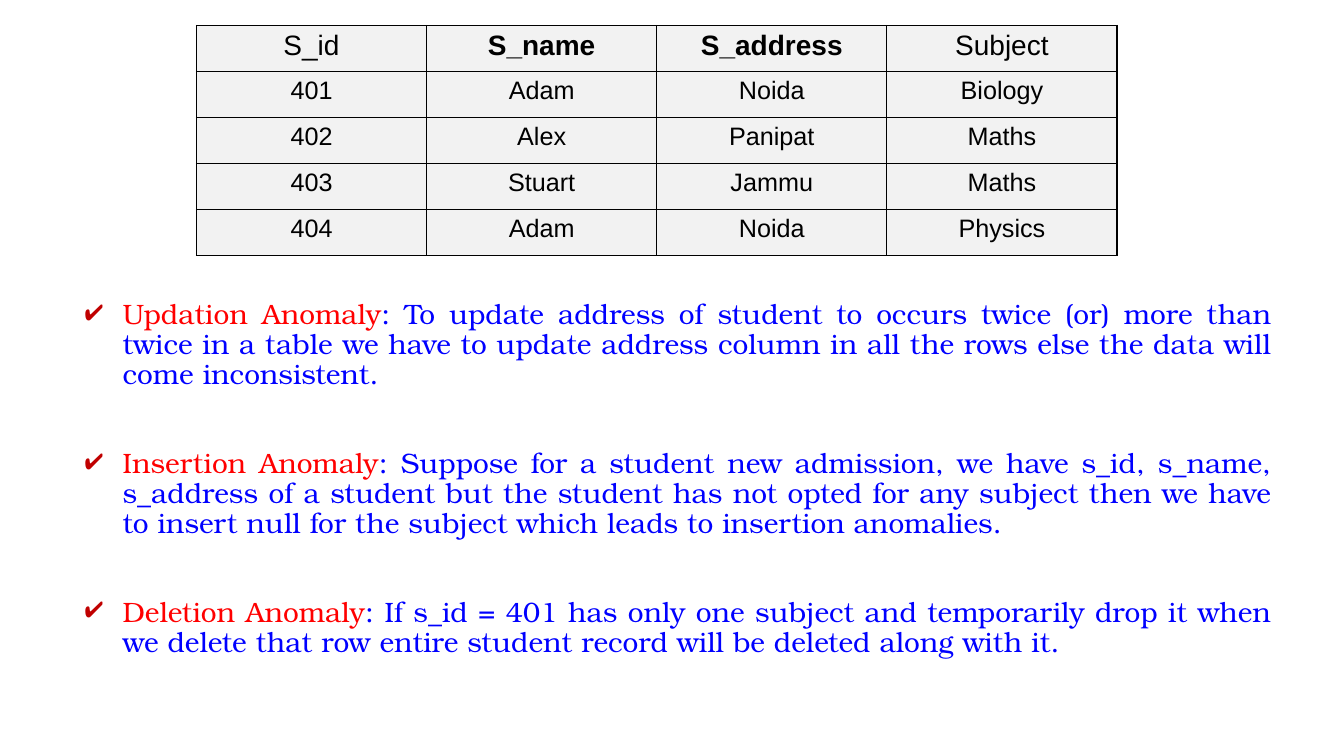
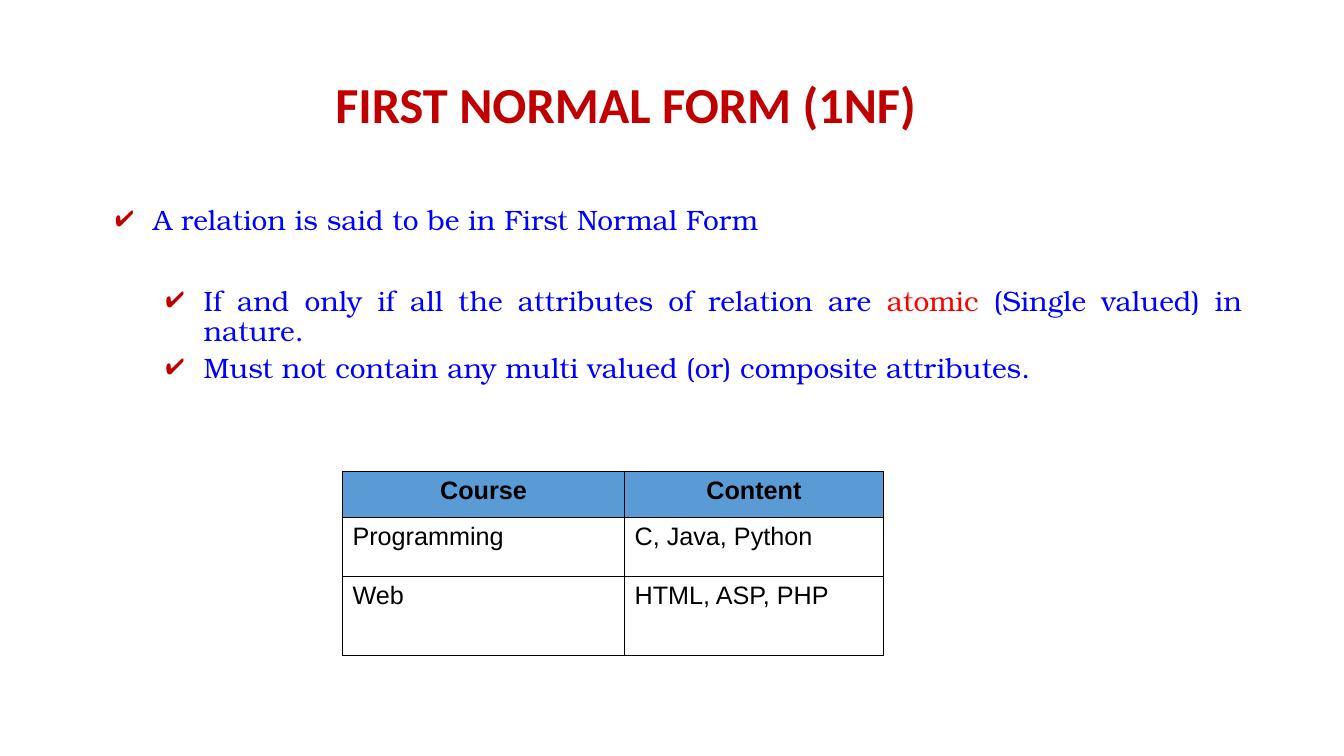
from dataclasses import dataclass

from lxml import etree
from pptx import Presentation
from pptx.dml.color import RGBColor
from pptx.enum.text import PP_ALIGN
from pptx.oxml.ns import qn
from pptx.slide import Slide
from pptx.text.text import TextFrame
from pptx.util import Cm, Pt

# Shared look
BLACK = RGBColor(0x00, 0x00, 0x00)
DARK_RED = RGBColor(0xC0, 0x00, 0x00)
RED = RGBColor(0xFF, 0x00, 0x00)
BLUE = RGBColor(0x00, 0x00, 0xFF)
PALE_GREY = RGBColor(0xF2, 0xF2, 0xF2)
HEADER_BLUE = RGBColor(0x5B, 0x9B, 0xD5)
BODY_FONT = "TeX Gyre Bonum"
TABLE_FONT = "Arial"
TITLE_FONT = "Calibri"
CENTER, LEFT, JUSTIFY = PP_ALIGN.CENTER, PP_ALIGN.LEFT, PP_ALIGN.JUSTIFY
CHECK_MARK = "✔"
BULLET_INDENT = Cm(0.95)
LEVEL_INDENT = Cm(1.27)


@dataclass(frozen=True)
class Box:
    left: float
    top: float
    width: float
    height: float


@dataclass(frozen=True)
class Point:
    """A check-marked point; its runs are (text, colour) pairs."""
    runs: tuple[tuple[str, RGBColor], ...]
    level: int = 0
    space_before: float = 0


@dataclass(frozen=True)
class Grid:
    left: float
    top: float
    columns: tuple[float, ...]
    rows: tuple[float, ...]
    cells: tuple[tuple[str, ...], ...]
    bold_headers: tuple[str, ...]
    header_size: int
    header_fill: RGBColor
    body_fill: RGBColor | None
    body_align: PP_ALIGN


def add_run(paragraph, text: str, *, font: str, size: float,
            color: RGBColor, bold: bool = False) -> None:
    run = paragraph.add_run()
    run.text = text
    run.font.name = font
    run.font.size = Pt(size)
    run.font.bold = bold
    run.font.color.rgb = color


def add_text_frame(slide: Slide, box: Box) -> TextFrame:
    shape = slide.shapes.add_textbox(
        Cm(box.left), Cm(box.top), Cm(box.width), Cm(box.height))
    shape.text_frame.word_wrap = True
    return shape.text_frame


def add_title(slide: Slide, text: str, box: Box) -> None:
    paragraph = add_text_frame(slide, box).paragraphs[0]
    add_run(paragraph, text, font=TITLE_FONT, size=36, color=DARK_RED, bold=True)


def set_check_mark(paragraph, level: int) -> None:
    properties = paragraph._p.get_or_add_pPr()
    properties.set("marL", str(LEVEL_INDENT * (level + 1)))
    properties.set("indent", str(-BULLET_INDENT))
    bullet_color = etree.SubElement(properties, qn("a:buClr"))
    etree.SubElement(bullet_color, qn("a:srgbClr"), val=str(DARK_RED))
    etree.SubElement(properties, qn("a:buChar"), char=CHECK_MARK)


def add_points(slide: Slide, points: tuple[Point, ...], box: Box) -> None:
    frame = add_text_frame(slide, box)
    for index, point in enumerate(points):
        paragraph = frame.add_paragraph() if index else frame.paragraphs[0]
        paragraph.level = point.level
        paragraph.alignment = JUSTIFY
        paragraph.line_spacing = 0.9
        paragraph.space_before = Pt(point.space_before)
        set_check_mark(paragraph, point.level)
        for text, color in point.runs:
            add_run(paragraph, text, font=BODY_FONT, size=20, color=color)


def set_cell_borders(cell) -> None:
    properties = cell._tc.get_or_add_tcPr()
    for position, side in enumerate(("a:lnL", "a:lnR", "a:lnT", "a:lnB")):
        line = etree.Element(qn(side), w=str(Pt(1)))
        fill = etree.SubElement(line, qn("a:solidFill"))
        etree.SubElement(fill, qn("a:srgbClr"), val=str(BLACK))
        properties.insert(position, line)


def add_grid(slide: Slide, grid: Grid) -> None:
    table = slide.shapes.add_table(
        len(grid.rows), len(grid.columns), Cm(grid.left), Cm(grid.top),
        Cm(sum(grid.columns)), Cm(sum(grid.rows))).table
    table.first_row = table.horz_banding = False
    for column, width in zip(table.columns, grid.columns):
        column.width = Cm(width)
    for row, height in zip(table.rows, grid.rows):
        row.height = Cm(height)

    for row_index, texts in enumerate(grid.cells):
        is_header = row_index == 0
        fill_color = grid.header_fill if is_header else grid.body_fill
        for column_index, text in enumerate(texts):
            cell = table.cell(row_index, column_index)
            if fill_color is None:
                cell.fill.background()
            else:
                cell.fill.solid()
                cell.fill.fore_color.rgb = fill_color
            set_cell_borders(cell)
            paragraph = cell.text_frame.paragraphs[0]
            paragraph.alignment = CENTER if is_header else grid.body_align
            add_run(paragraph, text, font=TABLE_FONT, color=BLACK,
                    size=grid.header_size if is_header else 18,
                    bold=is_header and text in grid.bold_headers)


# Slide 1: anomalies
STUDENTS = Grid(
    left=4.95, top=0.64, columns=(5.8,) * 4, rows=(1.16,) * 5,
    cells=(
        ("S_id", "S_name", "S_address", "Subject"),
        ("401", "Adam", "Noida", "Biology"),
        ("402", "Alex", "Panipat", "Maths"),
        ("403", "Stuart", "Jammu", "Maths"),
        ("404", "Adam", "Noida", "Physics"),
    ),
    bold_headers=("S_name", "S_address"), header_size=20,
    header_fill=PALE_GREY, body_fill=PALE_GREY, body_align=CENTER)

ANOMALIES = (
    ("Updation Anomaly",
     ": To update address of student to occurs twice (or) more than twice in a "
     "table we have to update address column in all the rows else the data "
     "will come inconsistent."),
    ("Insertion Anomaly",
     ": Suppose for a student new admission, we have s_id, s_name, s_address of "
     "a student but the student has not opted for any subject then we have to "
     "insert null for the subject which leads to insertion anomalies."),
    ("Deletion Anomaly",
     ": If s_id = 401 has only one subject and temporarily drop it when we "
     "delete that row entire student record will be deleted along with it."),
)
ANOMALY_POINTS = tuple(
    Point(((name, RED), (meaning, BLUE)), space_before=41.5 if index else 0)
    for index, (name, meaning) in enumerate(ANOMALIES))

# Slide 2: first normal form
FIRST_FORM_POINTS = (
    Point((("A relation is said to be in First Normal Form", BLUE),)),
    Point((("If and only if all the attributes of relation are ", BLUE),
           ("atomic ", RED),
           ("(Single valued) in nature.", BLUE)), level=1, space_before=36),
    Point((("Must not contain any multi valued (or) composite attributes.", BLUE),),
          level=1, space_before=5),
)

COURSES = Grid(
    left=8.63, top=11.88, columns=(7.11, 6.52), rows=(1.16, 1.49, 1.99),
    cells=(
        ("Course", "Content"),
        ("Programming", "C, Java, Python"),
        ("Web", "HTML, ASP, PHP"),
    ),
    bold_headers=("Course", "Content"), header_size=18,
    header_fill=HEADER_BLUE, body_fill=None, body_align=LEFT)


def main() -> None:
    deck = Presentation()
    deck.slide_width, deck.slide_height = Cm(33.87), Cm(19.05)
    blank = deck.slide_layouts[6]

    anomalies = deck.slides.add_slide(blank)
    add_grid(anomalies, STUDENTS)
    add_points(anomalies, ANOMALY_POINTS, Box(1.57, 7.44, 30.73, 9.37))

    first_form = deck.slides.add_slide(blank)
    add_title(first_form, "FIRST NORMAL FORM (1NF)", Box(8.2, 1.73, 16.23, 1.93))
    add_points(first_form, FIRST_FORM_POINTS, Box(2.34, 5.08, 29.21, 12.09))
    add_grid(first_form, COURSES)

    deck.save("out.pptx")


if __name__ == "__main__":
    main()
